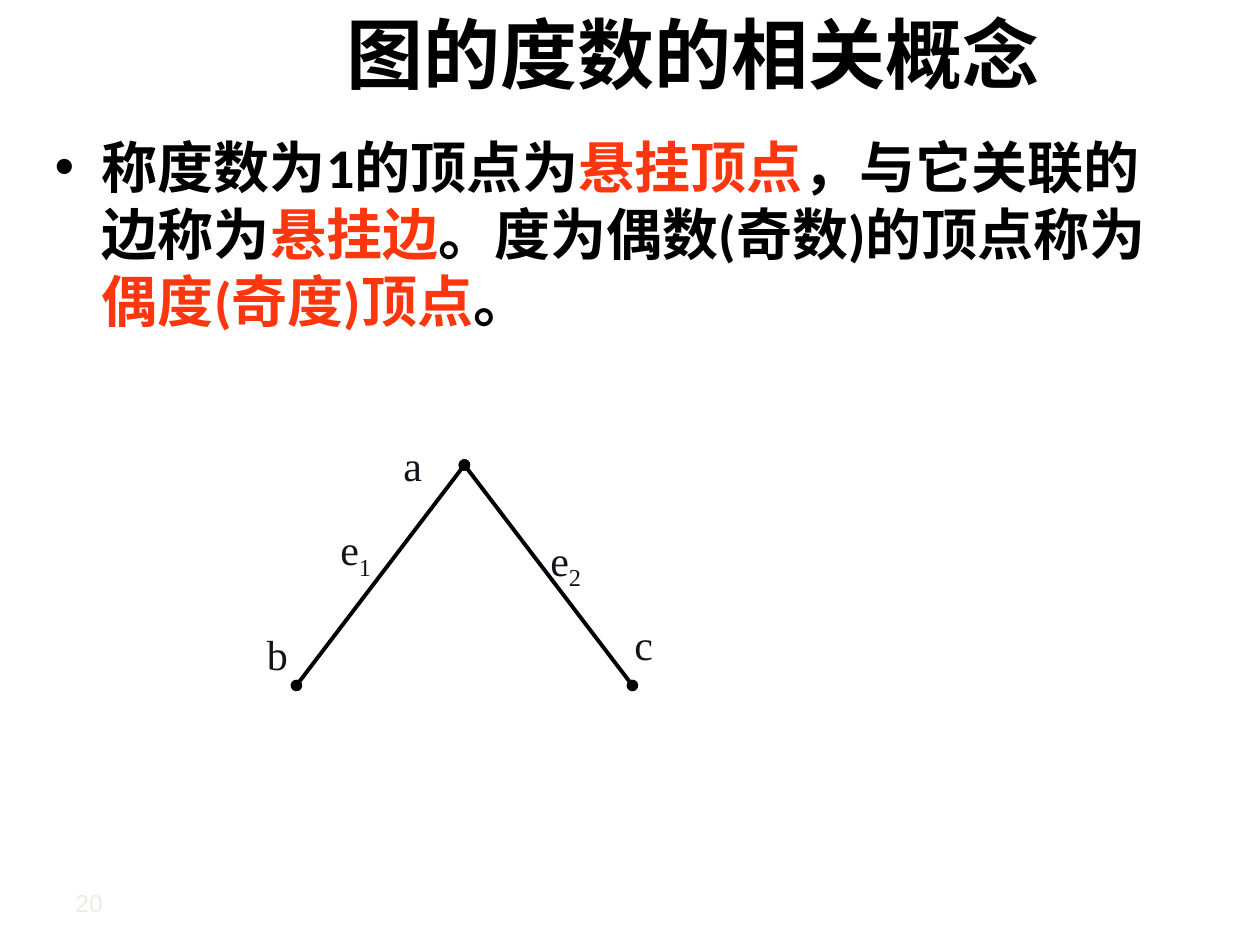
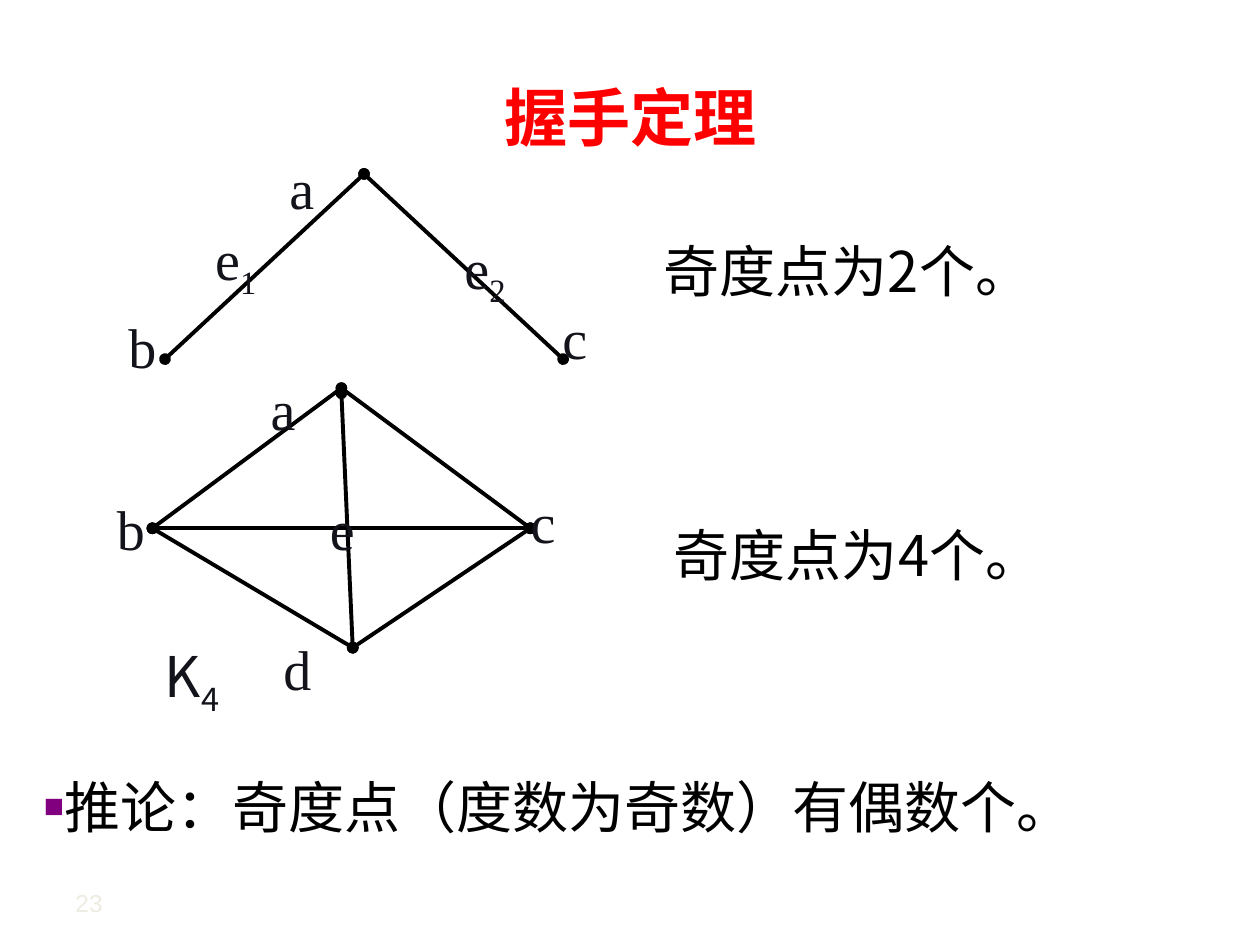
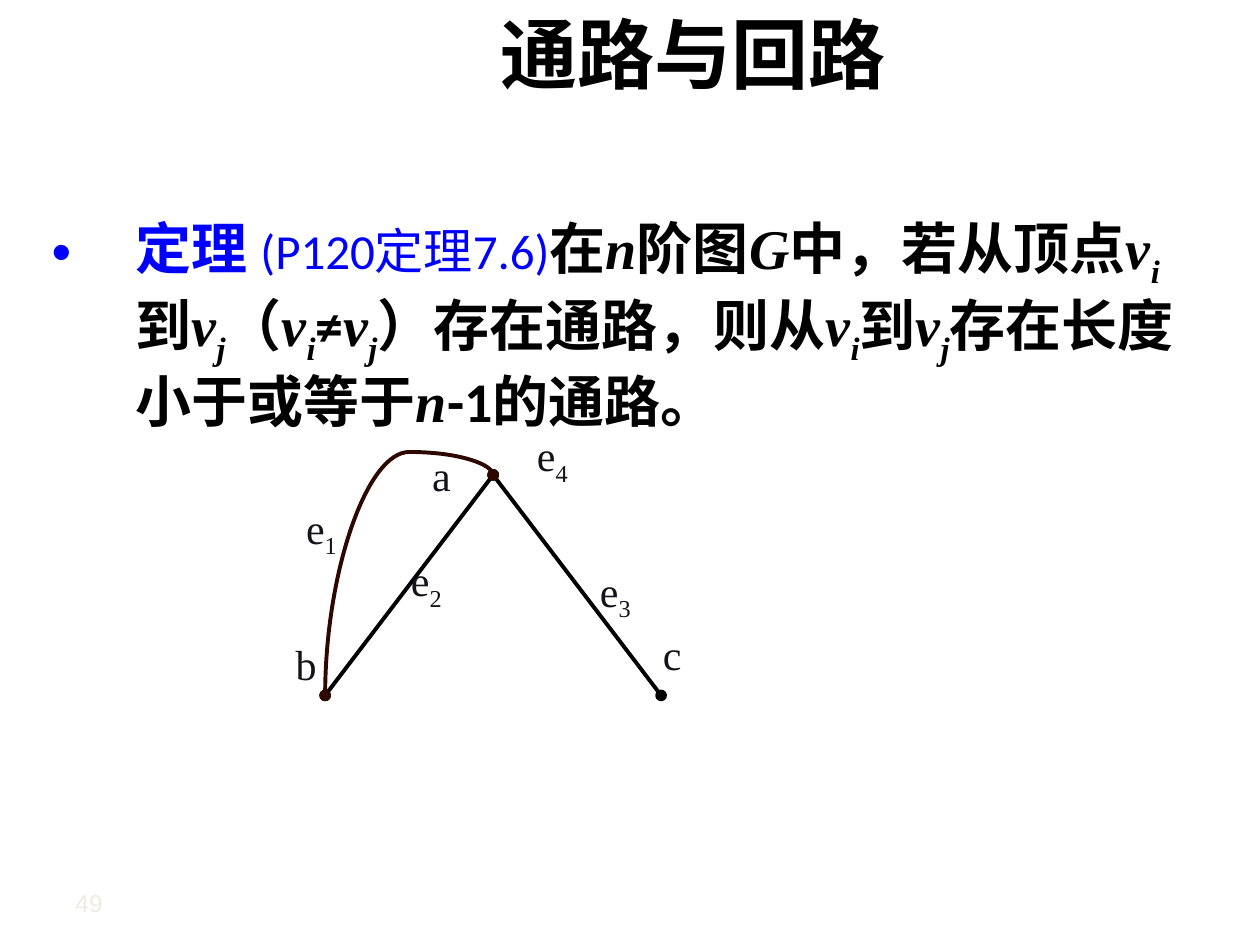
from dataclasses import dataclass, replace

from lxml.etree import SubElement
from pptx import Presentation
from pptx.dml.color import RGBColor
from pptx.enum.shapes import MSO_CONNECTOR as Link
from pptx.enum.text import MSO_ANCHOR as Anchor, MSO_AUTO_SIZE as AutoSize, PP_ALIGN as Align
from pptx.oxml.ns import qn
from pptx.util import Pt

BLACK = RGBColor(0x00, 0x00, 0x00)
INK = RGBColor(0x13, 0x13, 0x1B)
RED = RGBColor(0xFF, 0x00, 0x00)
ORANGE = RGBColor(0xFC, 0x36, 0x0E)
BLUE = RGBColor(0x00, 0x00, 0xFF)
BROWN = RGBColor(0x2D, 0x08, 0x01)
PALE = RGBColor(0xEE, 0xEC, 0xE1)
SANS, SERIF, CJK = "Calibri", "Times New Roman", "Noto Sans CJK SC"
TITLE_AND_BODY, TITLE_ONLY = 1, 5


@dataclass(frozen=True)
class Style:
    size: float
    color: RGBColor = BLACK
    face: str = SANS
    bold: bool = False
    italic: bool = False
    lowered: bool = False


HEADING = Style(44, bold=True)
THEOREM_HEADING = Style(36, RED, CJK, bold=True)
BODY = Style(32, bold=True)
TERM = replace(BODY, color=ORANGE)
VARIABLE = replace(BODY, face=SERIF, italic=True)
INDEX = replace(VARIABLE, lowered=True)
REMARK = Style(32, face=CJK)
LABEL = Style(24, INK, SERIF)
BIG_LABEL = replace(LABEL, size=32)
NUMBER = Style(14, PALE, "Arial")

HEADING_BOX = (72, 0, 648, 60)
PATH_VERTICES = {"a": (0.5, 0), "b": (0, 1), "c": (1, 1)}
PATH_EDGES = ("ac", "ba")
PATH_LABELS = [("a", 54, -18), ("b", -24, 90), ("c", 186, 84)]


def add_run(paragraph, text, style):
    run = paragraph.add_run()
    run.text = text
    font = run.font
    font.size, font.bold, font.italic = Pt(style.size), style.bold, style.italic
    font.color.rgb = style.color
    font.name = style.face
    properties = run._r.get_or_add_rPr()
    SubElement(properties, qn("a:ea")).set("typeface", CJK)
    if style.lowered:
        properties.set("baseline", "-25000")


def place(shape, box):
    shape.left, shape.top, shape.width, shape.height = (Pt(v) for v in box)


def add_text(slide, box, pieces, wrap=True):
    shape = slide.shapes.add_textbox(*(Pt(v) for v in box))
    shape.text_frame.word_wrap = wrap
    paragraph = shape.text_frame.paragraphs[0]
    for text, style in pieces:
        add_run(paragraph, text, style)
    return paragraph


def set_bullet(paragraph, char, indent=0, color=None, percent=None):
    properties = paragraph._p.get_or_add_pPr()
    properties.set("marL", str(Pt(indent)))
    properties.set("indent", str(Pt(-indent)))
    if color is not None:
        SubElement(SubElement(properties, qn("a:buClr")), qn("a:srgbClr")).set("val", str(color))
    if percent:
        SubElement(properties, qn("a:buSzPct")).set("val", str(percent * 1000))
    SubElement(properties, qn("a:buFont")).set("typeface", "Arial")
    SubElement(properties, qn("a:buChar")).set("char", char)


def start_slide(deck, layout, number, title, box=HEADING_BOX, style=HEADING):
    slide = deck.slides.add_slide(deck.slide_layouts[layout])
    heading = slide.shapes.title
    place(heading, box)
    frame = heading.text_frame
    frame.auto_size, frame.vertical_anchor = AutoSize.NONE, Anchor.MIDDLE
    frame.paragraphs[0].alignment = Align.CENTER
    add_run(frame.paragraphs[0], title, style)
    add_text(slide, (36, 504, 60, 24), [(number, NUMBER)])
    return slide


def fill_body(slide, box, pieces, indent, top_inset=3.6):
    body = slide.placeholders[1]
    place(body, box)
    frame = body.text_frame
    frame.auto_size, frame.vertical_anchor = AutoSize.NONE, Anchor.TOP
    frame.margin_top = Pt(top_inset)
    paragraph = frame.paragraphs[0]
    set_bullet(paragraph, "•", indent)
    paragraph.space_before = Pt(0)
    for text, style in pieces:
        add_run(paragraph, text, style)


def add_edge(slide, start, end, kind=Link.STRAIGHT, color=BLACK):
    edge = slide.shapes.add_connector(kind, *(Pt(v) for v in (*start, *end)))
    edge.line.color.rgb = color
    edge.line.width = Pt(2.25)
    properties = edge._element.spPr
    for tip in ("a:headEnd", "a:tailEnd"):
        SubElement(properties.find(qn("a:ln")), qn(tip)).set("type", "oval")
    SubElement(properties, qn("a:effectLst"))
    return properties


def add_arc(slide, start, end):
    middle_x, middle_y = (start[0] + end[0]) / 2, (start[1] + end[1]) / 2
    half_rise, half_run = (start[1] - end[1]) / 2, (end[0] - start[0]) / 2
    properties = add_edge(slide, (middle_x + half_rise, middle_y + half_run),
                          (middle_x - half_rise, middle_y - half_run), Link.CURVE, BROWN)
    properties.find(qn("a:xfrm")).set("rot", str(90 * 60000))
    bend = SubElement(properties.find(qn("a:prstGeom")).find(qn("a:avLst")), qn("a:gd"))
    bend.set("name", "adj1")
    bend.set("fmla", "val 110400")


def draw_graph(slide, box, vertices, edges, labels, style=LABEL):
    left, top, width, height = box
    spots = {name: (left + x * width, top + y * height) for name, (x, y) in vertices.items()}
    for start, end in edges:
        add_edge(slide, spots[start], spots[end])
    for text, x, y in labels:
        face = CJK if text[0] == "K" else SERIF
        letter = replace(style, face=face)
        pieces = [(text[0], letter)]
        if text[1:]:
            pieces.append((text[1:], replace(letter, lowered=True)))
        size = (style.size * (0.6 + 0.5 * len(text)) + 4, style.size * 1.2 + 7.2)
        add_text(slide, (left + x, top + y, *size), pieces)
    return spots


def build_degrees(deck):
    slide = start_slide(deck, TITLE_AND_BODY, "20", "图的度数的相关概念")
    fill_body(slide, (24, 72, 666, 122.4), [
        ("称度数为1的顶点为", BODY), ("悬挂顶点", TERM),
        ("，与它关联的边称为", BODY), ("悬挂边", TERM),
        ("。度为偶数(奇数)的顶点称为", BODY), ("偶度(奇度)顶点", TERM), ("。", BODY),
    ], indent=27)
    draw_graph(slide, (169.4, 265.7, 192, 126), PATH_VERTICES, PATH_EDGES,
               PATH_LABELS + [("e1", 18, 30), ("e2", 138, 36)])


def build_handshake(deck):
    slide = start_slide(deck, TITLE_ONLY, "23", "握手定理", (36, 21.6, 648, 90), THEOREM_HEADING)
    corollary = add_text(slide, (18, 437.8, 607, 45.4),
                         [("推论：奇度点（度数为奇数）有偶数个。", REMARK)], wrap=False)
    set_bullet(corollary, "■", color=RGBColor(0x80, 0x00, 0x80), percent=60)
    draw_graph(slide, (94.3, 99.4, 227.5, 105.8), PATH_VERTICES, PATH_EDGES,
               [("a", 64, -15), ("b", -28, 75.6), ("c", 220, 70.6),
                ("e1", 21.6, 25.2), ("e2", 164, 30.2)], BIG_LABEL)
    complete = {"a": (0.5, 0), "A": (0.5, 0.02), "b": (0, 0.54), "c": (1, 0.54), "d": (0.53, 1)}
    draw_graph(slide, (87.1, 221.8, 216, 148.3), complete, ("ac", "ba", "dc", "bc", "bd", "Ad"),
               [("K4", 0, 141), ("a", 60.5, -11.5), ("b", -27.4, 57), ("c", 209, 53.3),
                ("d", 67.7, 137), ("e", 94.3, 57)], BIG_LABEL)
    for left, top, count in ((372.2, 131.8, 2), (378, 293.8, 4)):
        add_text(slide, (left, top, 270.7, 45.4), [(f"奇度点为{count}个。", REMARK)])


def build_walks(deck):
    slide = start_slide(deck, TITLE_AND_BODY, "49", "通路与回路")
    v_i = [("v", VARIABLE), ("i", INDEX)]
    v_j = [("v", VARIABLE), ("j", INDEX)]
    fill_body(slide, (22.3, 74.2, 679.7, 306), [
        ("定理 ", replace(BODY, color=BLUE)), ("(P120定理7.6)", Style(28, BLUE)),
        ("在", BODY), ("n", VARIABLE), ("阶图", BODY), ("G", VARIABLE), ("中，若从顶点", BODY),
        *v_i, ("到", BODY), *v_j, ("（", BODY), *v_i, ("≠", BODY), *v_j,
        ("）存在通路，则从", BODY), *v_i, ("到", BODY), *v_j,
        ("存在长度小于或等于", BODY), ("n", VARIABLE), ("-1的通路。", BODY),
    ], indent=48, top_inset=48)
    spots = draw_graph(slide, (185.8, 271.4, 192, 126), PATH_VERTICES, PATH_EDGES,
                       PATH_LABELS + [("e1", -18, 12), ("e2", 42, 42),
                                      ("e3", 150, 48), ("e4", 114, -29.5)])
    add_arc(slide, spots["b"], spots["a"])


def main():
    deck = Presentation()
    deck.slide_width, deck.slide_height = Pt(720), Pt(540)
    for build in (build_degrees, build_handshake, build_walks):
        build(deck)
    deck.save("out.pptx")


if __name__ == "__main__":
    main()
